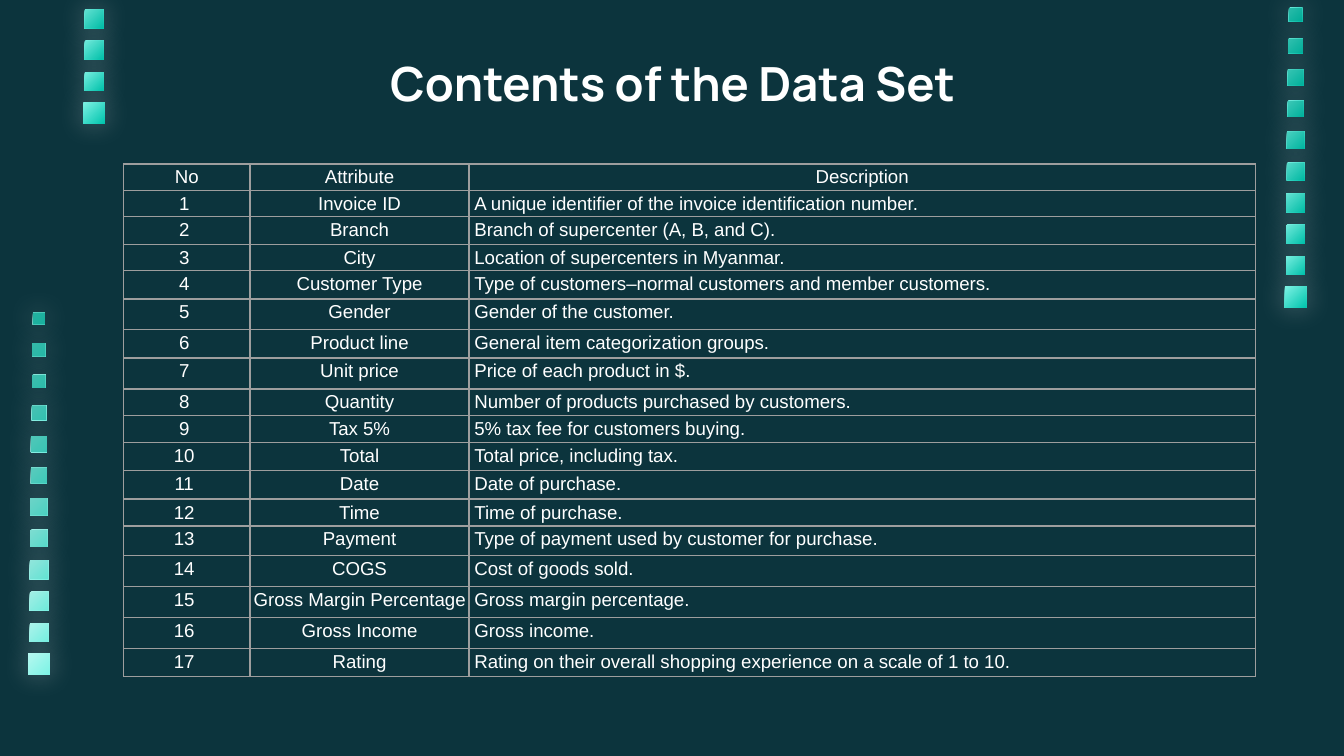
"""Build a slide that lists the attributes of a sales data set."""
from lxml.etree import SubElement
from pptx import Presentation
from pptx.dml.color import RGBColor
from pptx.enum.shapes import MSO_SHAPE
from pptx.enum.text import MSO_ANCHOR, PP_ALIGN
from pptx.oxml.ns import qn
from pptx.util import Inches, Pt

NIGHT = RGBColor(0x0C, 0x34, 0x3D)
WHITE = RGBColor(0xFF, 0xFF, 0xFF)
GRAY = RGBColor(0x9E, 0x9E, 0x9E)
ICE = RGBColor(0xB6, 0xF8, 0xF0)
AQUA = RGBColor(0x7D, 0xF3, 0xE5)
TEAL = RGBColor(0x02, 0xC5, 0xAE)
DEEP = RGBColor(0x00, 0x9F, 0x8C)

SIZES = [0.16, 0.14, 0.14, 0.14, 0.13, 0.13, 0.12, 0.12, 0.11, 0.1, 0.1, 0.09]
TINTS = [0, 5, 10, 20, 30, 40, 50, 55, 60, 65, 70, 80]

WIDTHS = [0.94, 1.63, 5.85]
HEIGHTS = [0.2, 0.19, 0.21, 0.19, 0.21, 0.23, 0.21, 0.23, 0.2,
           0.2, 0.21, 0.21, 0.2, 0.22, 0.23, 0.23, 0.23, 0.21]
HEADS = ["No", "Attribute", "Description"]
FIELDS = [
    ("Invoice ID", "A unique identifier of the invoice identification number."),
    ("Branch", "Branch of supercenter (A, B, and C)."),
    ("City", "Location of supercenters in Myanmar."),
    ("Customer Type", "Type of customers–normal customers and member customers."),
    ("Gender", "Gender of the customer."),
    ("Product line", "General item categorization groups."),
    ("Unit price", "Price of each product in $."),
    ("Quantity", "Number of products purchased by customers."),
    ("Tax 5%", "5% tax fee for customers buying."),
    ("Total", "Total price, including tax."),
    ("Date", "Date of purchase."),
    ("Time", "Time of purchase."),
    ("Payment", "Type of payment used by customer for purchase."),
    ("COGS", "Cost of goods sold."),
    ("Gross Margin Percentage", "Gross margin percentage."),
    ("Gross Income", "Gross income."),
    ("Rating", "Rating on their overall shopping experience on a scale of 1 to 10."),
]


def add_alpha(color, percent):
    """Give a colour element an opacity in percent."""
    SubElement(color, qn("a:alpha"), val=str(percent * 1000))


def add_glow(shape):
    """Surround a shape with a soft white shadow."""
    effects = shape._element.spPr.find(qn("a:effectLst"))
    glow = SubElement(effects, qn("a:outerShdw"), blurRad=str(Pt(15)),
                      dist="0", dir="0", algn="bl", rotWithShape="0")
    color = SubElement(glow, qn("a:srgbClr"), val=str(WHITE))
    add_alpha(color, 31)


def add_square(slide, x, y, size):
    """Add a plain square around a centre point."""
    shape = slide.shapes.add_shape(
        MSO_SHAPE.RECTANGLE, Inches(x - size / 2), Inches(y - size / 2),
        Inches(size), Inches(size))
    shape.line.fill.background()
    shape.shadow.inherit = False
    return shape


def add_column(slide, x, first, last, count, colors):
    """Stack glowing squares upwards, smaller and darker towards the top."""
    step = (first - last) / (count - 1)
    spots = [(first - i * step, SIZES[i], TINTS[i]) for i in range(count)]
    for y, size, _ in spots:
        shape = add_square(slide, x, y, size)
        shape.fill.gradient()
        shape.fill.gradient_angle = 315
        for stop, color, place in zip(shape.fill.gradient_stops, colors, (0, 1)):
            stop.color.rgb = color
            stop.position = place
        add_glow(shape)
    for y, size, tint in spots[1:]:
        shade = add_square(slide, x, y, size)
        shade.fill.solid()
        shade.fill.fore_color.rgb = DEEP
        add_alpha(shade._element.spPr.find(".//" + qn("a:srgbClr")), tint)


def add_run(para, text, font, size, bold=False):
    """Add a white run to a paragraph."""
    run = para.add_run()
    run.text = text
    run.font.name = font
    run.font.size = Pt(size)
    run.font.bold = bold
    run.font.color.rgb = WHITE


def add_title(slide, text):
    """Add the centred slide title."""
    box = slide.shapes.add_textbox(
        Inches(0.79), Inches(0.3), Inches(8.43), Inches(0.63))
    frame = box.text_frame
    frame.word_wrap = True
    frame.vertical_anchor = MSO_ANCHOR.MIDDLE
    para = frame.paragraphs[0]
    para.alignment = PP_ALIGN.CENTER
    add_run(para, text, "Manrope", 25.2, True)


def add_border(cell):
    """Draw a thin gray line on all four sides of a cell."""
    props = cell._tc.get_or_add_tcPr()
    for index, side in enumerate(("a:lnL", "a:lnR", "a:lnT", "a:lnB")):
        line = SubElement(props, qn(side), w=str(Pt(0.75)))
        fill = SubElement(line, qn("a:solidFill"))
        SubElement(fill, qn("a:srgbClr"), val=str(GRAY))
        props.insert(index, line)


def fill_cell(cell, text, align, left=0, right=0):
    """Write and style one table cell."""
    cell.fill.background()
    cell.margin_left, cell.margin_right = Inches(left), Inches(right)
    cell.margin_top = cell.margin_bottom = 0
    para = cell.text_frame.paragraphs[0]
    para.alignment = align
    para.line_spacing = 1.15
    add_run(para, text, "Arial", 10)
    add_border(cell)


def add_grid(slide):
    """Add the table of numbered attributes."""
    frame = slide.shapes.add_table(
        len(HEIGHTS), len(WIDTHS), Inches(0.92), Inches(1.22),
        Inches(sum(WIDTHS)), Inches(sum(HEIGHTS)))
    table = frame.table
    table.first_row = table.horz_banding = False
    for column, width in zip(table.columns, WIDTHS):
        column.width = Inches(width)
    for row, height in zip(table.rows, HEIGHTS):
        row.height = Inches(height)
    for col, head in enumerate(HEADS):
        fill_cell(table.cell(0, col), head, PP_ALIGN.CENTER)
    for row, (name, note) in enumerate(FIELDS, 1):
        fill_cell(table.cell(row, 0), str(row), PP_ALIGN.CENTER, right=0.04)
        fill_cell(table.cell(row, 1), name, PP_ALIGN.CENTER)
        fill_cell(table.cell(row, 2), note, PP_ALIGN.JUSTIFY, left=0.04)


def main():
    """Build and save the slide."""
    deck = Presentation()
    deck.slide_width = Inches(10)
    deck.slide_height = Inches(10 * 9 / 16)
    slide = deck.slides.add_slide(deck.slide_layouts[6])
    slide.background.fill.solid()
    slide.background.fill.fore_color.rgb = NIGHT
    add_column(slide, 9.64, 2.21, 0.11, 10, (AQUA, TEAL))
    add_column(slide, 0.29, 4.94, 2.37, 12, (ICE, AQUA))
    add_column(slide, 0.7, 0.84, 0.14, 4, (AQUA, TEAL))
    add_title(slide, "Contents of the Data Set")
    add_grid(slide)
    deck.save("out.pptx")


if __name__ == "__main__":
    main()
